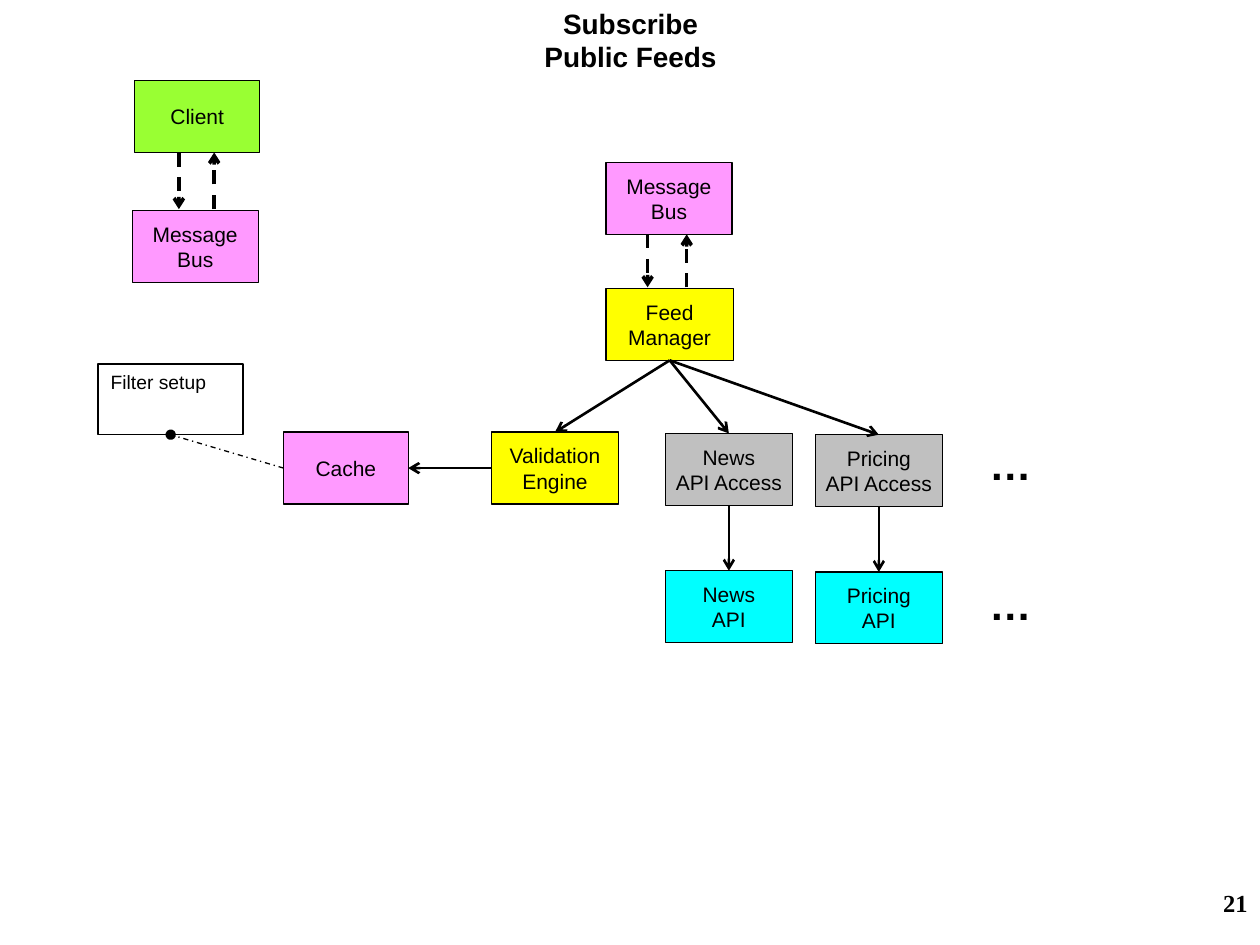
from dataclasses import dataclass

from lxml import etree
from pptx import Presentation
from pptx.dml.color import RGBColor
from pptx.enum.dml import MSO_LINE
from pptx.enum.shapes import MSO_CONNECTOR, MSO_SHAPE
from pptx.enum.text import MSO_ANCHOR, PP_ALIGN
from pptx.oxml.ns import qn
from pptx.util import Inches, Pt

RECT, STRAIGHT = MSO_SHAPE.RECTANGLE, MSO_CONNECTOR.STRAIGHT
LEFT, CENTER, RIGHT = PP_ALIGN.LEFT, PP_ALIGN.CENTER, PP_ALIGN.RIGHT
TOP, MIDDLE = MSO_ANCHOR.TOP, MSO_ANCHOR.MIDDLE
DASH, DASH_DOT = MSO_LINE.DASH, MSO_LINE.DASH_DOT
TOP_SIDE, LEFT_SIDE, BOTTOM_SIDE, RIGHT_SIDE = range(4)
COLS, ROWS = 100, 75


@dataclass(frozen=True)
class Theme:
    ink: str = "000000"
    paper: str = "FFFFFF"
    client: str = "99FF33"
    store: str = "FF99FF"
    service: str = "FFFF00"
    access: str = "C0C0C0"
    api: str = "00FFFF"
    font: str = "Arial"
    number_font: str = "Times New Roman"
    title: int = 16
    label: int = 12
    note: int = 11
    number: int = 14
    dots: int = 24


class Diagram:
    """Places elements on a grid of COLS by ROWS cells."""

    def __init__(self, prs, theme):
        self.theme = theme
        self.slide = prs.slides.add_slide(prs.slide_layouts[6])
        self.col = prs.slide_width / COLS
        self.row = prs.slide_height / ROWS

    def place(self, x, y):
        return round(x * self.col), round(y * self.row)

    def add_lines(self, sp, lines, size, align=CENTER, bold=False, font=None):
        tf = sp.text_frame
        for i, line in enumerate(lines):
            p = tf.add_paragraph() if i else tf.paragraphs[0]
            p.alignment = align
            r = p.add_run()
            r.text = line
            r.font.name = font or self.theme.font
            r.font.size = Pt(size)
            r.font.bold = bold
            r.font.color.rgb = RGBColor.from_string(self.theme.ink)

    def text(self, x, y, w, h, lines, size, align=CENTER, font=None):
        sp = self.slide.shapes.add_textbox(*self.place(x, y), *self.place(w, h))
        sp.text_frame.word_wrap = True
        self.add_lines(sp, lines, size, align, True, font)

    def rect(self, x, y, w, h, fill, weight):
        sp = self.slide.shapes.add_shape(RECT, *self.place(x, y), *self.place(w, h))
        sp.shadow.inherit = False
        sp.fill.solid()
        sp.fill.fore_color.rgb = RGBColor.from_string(fill)
        sp.line.color.rgb = RGBColor.from_string(self.theme.ink)
        sp.line.width = Pt(weight)
        return sp

    def box(self, x, y, fill, *lines, w=10.1, h=5.7):
        sp = self.rect(x, y, w, h, fill, 0.75)
        sp.text_frame.word_wrap = False
        sp.text_frame.vertical_anchor = MIDDLE
        self.add_lines(sp, lines, self.theme.label)
        return sp

    def note(self, x, y, w, h, line):
        sp = self.rect(x, y, w, h, self.theme.paper, 1)
        sp.text_frame.word_wrap = True
        sp.text_frame.vertical_anchor = TOP
        self.add_lines(sp, [line], self.theme.note, LEFT)
        return sp

    def line(self, start=(0, 0), end=(0, 0), weight=1.5, dash=None, head="arrow"):
        cn = self.slide.shapes.add_connector(
            STRAIGHT, *self.place(*start), *self.place(*end))
        cn.line.color.rgb = RGBColor.from_string(self.theme.ink)
        cn.line.width = Pt(weight)
        if dash:
            cn.line.dash_style = dash
        props = cn.element.spPr
        etree.SubElement(props.find(qn("a:ln")), qn("a:tailEnd"), type=head)
        etree.SubElement(props, qn("a:effectLst"))
        return cn

    def link(self, a, a_side, b, b_side, **style):
        cn = self.line(**style)
        cn.begin_connect(a, a_side)
        cn.end_connect(b, b_side)

    def exchange(self, down_x, up_x, top, bottom):
        """Dashed pair of arrows, one down and one up."""
        self.line((down_x, top), (down_x, bottom), 2, DASH)
        self.line((up_x, bottom), (up_x, top), 2, DASH)


def main():
    prs = Presentation()
    prs.slide_width, prs.slide_height = Inches(10), Inches(7.5)
    t = Theme()
    d = Diagram(prs, t)

    d.text(79.2, 70, 20.8, 5, ["21"], t.number, RIGHT, t.number_font)
    d.text(32.8, 0, 34.5, 6.4, ["Subscribe", "Public Feeds"], t.title)

    d.box(10.7, 6.4, t.client, "Client", w=9.9)
    d.exchange(14.2, 17, 12.1, 16.6)
    d.box(10.5, 16.7, t.store, "Message", "Bus", w=10)

    d.box(48.1, 12.9, t.store, "Message", "Bus", w=10)
    d.exchange(51.4, 54.5, 18.6, 22.8)
    manager = d.box(48.1, 22.9, t.service, "Feed", "Manager")

    validation = d.box(39, 34.3, t.service, "Validation", "Engine")
    cache = d.box(22.5, 34.3, t.store, "Cache", w=9.9)
    setup = d.note(7.8, 28.9, 11.5, 5.6, "Filter setup")
    d.link(manager, BOTTOM_SIDE, validation, TOP_SIDE)
    d.link(validation, LEFT_SIDE, cache, RIGHT_SIDE)
    d.link(cache, LEFT_SIDE, setup, BOTTOM_SIDE,
           weight=0.75, dash=DASH_DOT, head="oval")

    for name, x, y in (("News", 52.8, 34.4), ("Pricing", 64.7, 34.5)):
        access = d.box(x, y, t.access, name, "API Access")
        api = d.box(x, y + 10.9, t.api, name, "API")
        d.link(manager, BOTTOM_SIDE, access, TOP_SIDE)
        d.link(access, BOTTOM_SIDE, api, TOP_SIDE)

    for y in (34.3, 45.4):
        d.text(76.6, y, 7.2, 5, ["…"], t.dots)

    prs.save("out.pptx")


if __name__ == "__main__":
    main()
